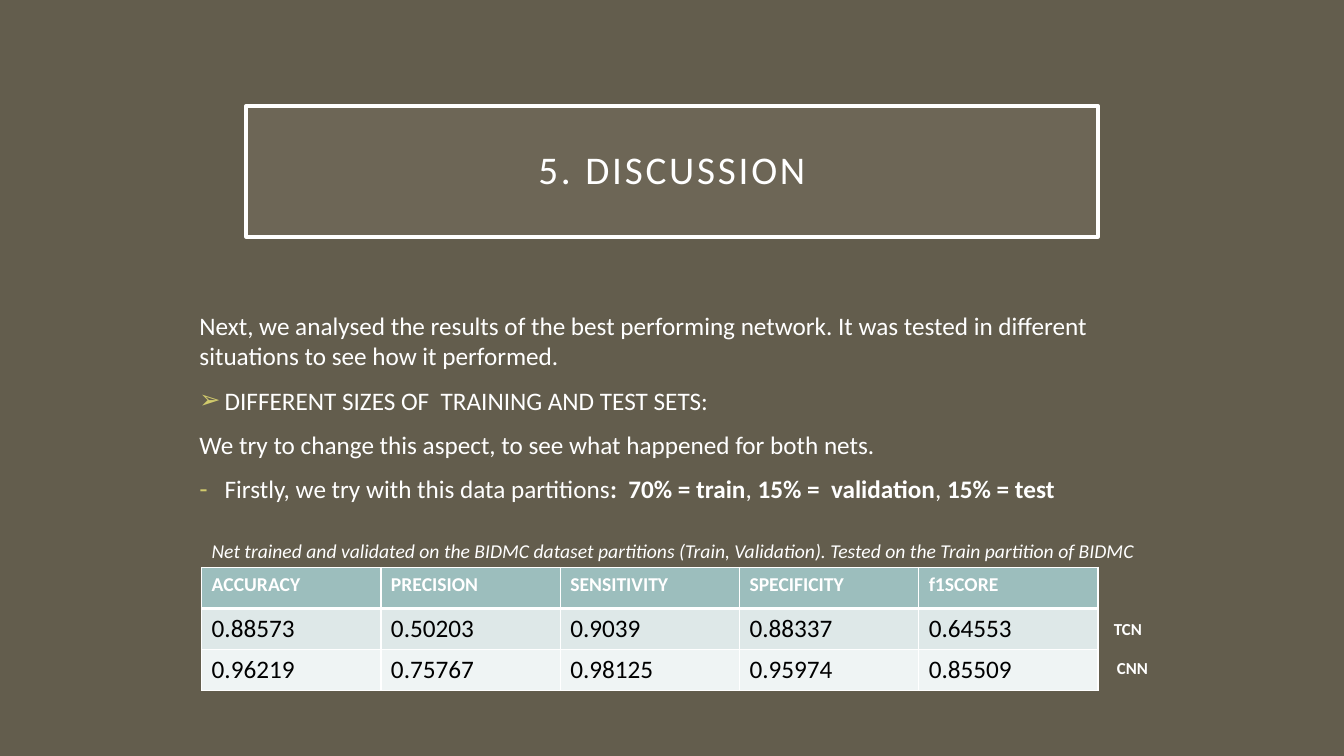
from dataclasses import dataclass

from lxml.etree import SubElement
from pptx import Presentation
from pptx.dml.color import RGBColor
from pptx.enum.shapes import MSO_SHAPE
from pptx.enum.text import MSO_ANCHOR, PP_ALIGN
from pptx.oxml.ns import qn
from pptx.util import Inches, Pt

FONT = "Calibri"
WHITE, BLACK, BACKGROUND = "FFFFFF", "000000", "635D4D"
PANEL, BULLET = "A7A08E", "D2CB6C"
HEADER_FILL, ROW_FILLS = "9CBEBD", ("DEE8E8", "EFF4F4")


@dataclass
class Line:
    """A body paragraph: (text, bold) spans and an optional bullet."""
    spans: list[tuple[str, bool]]
    bullet: str = ""


@dataclass
class Label:
    text: str
    left: float
    top: float
    width: float
    height: float
    size: float = 12
    bold: bool = True
    italic: bool = False


BODY = [
    Line([("Next, we analysed the results of the best performing network. "
           "It was tested in different situations to see how it performed.", False)]),
    Line([("DIFFERENT SIZES OF  TRAINING AND TEST SETS:", False)], "➢"),
    Line([("We try to change this aspect, to see what happened for both nets.", False)]),
    Line([("Firstly, we try with this data partitions", False),
          (":  70% = train", True), (", ", False),
          ("15% =  validation", True), (", ", False),
          ("15% = test", True)], "-"),
]
LABELS = [
    Label("Net trained and validated on the BIDMC dataset partitions (Train, Validation). "
          "Tested on the Train partition of BIDMC", 2, 5.3, 10.32, 0.34, 14, False, True),
    Label("TCN", 10.95, 6.09, 1.19, 0.3),
    Label("CNN", 10.98, 6.48, 2.16, 0.3),
]
SCORES = [
    ["ACCURACY", "PRECISION", "SENSITIVITY", "SPECIFICITY", "f1SCORE"],
    ["0.88573", "0.50203", "0.9039", "0.88337", "0.64553"],
    ["0.96219", "0.75767", "0.98125", "0.95974", "0.85509"],
]


def color(value: str) -> RGBColor:
    return RGBColor.from_string(value)


def add_span(para, text: str, *, size: float = 18, fill: str = WHITE,
             bold: bool = False, italic: bool = False, spacing: float = 0) -> None:
    span = para.add_run()
    span.text = text
    font = span.font
    font.name, font.size, font.bold, font.italic = FONT, Pt(size), bold, italic
    font.color.rgb = color(fill)
    if spacing:
        font._element.set("spc", str(int(spacing * 100)))


def add_bullet(para, symbol: str) -> None:
    properties = para._p.get_or_add_pPr()
    properties.set("marL", str(Inches(0.25)))
    properties.set("indent", str(Inches(-0.25)))
    bullet_color = SubElement(properties, qn("a:buClr"))
    SubElement(bullet_color, qn("a:srgbClr"), val=BULLET)
    SubElement(properties, qn("a:buFont"), typeface="Arial")
    SubElement(properties, qn("a:buChar"), char=symbol)


def add_text_frame(page, left: float, top: float, width: float, height: float):
    box = page.shapes.add_textbox(Inches(left), Inches(top), Inches(width), Inches(height))
    box.text_frame.word_wrap = True
    return box.text_frame


def add_title(page, text: str) -> None:
    box = page.shapes.add_shape(MSO_SHAPE.RECTANGLE, Inches(2.44), Inches(1.05),
                                Inches(8.45), Inches(1.3))
    box.shadow.inherit = False
    box.fill.solid()
    box.fill.fore_color.rgb = color(PANEL)
    fill_color = box._element.spPr.find(qn("a:solidFill")).find(qn("a:srgbClr"))
    SubElement(fill_color, qn("a:alpha"), val="15000")
    box.line.color.rgb = color(WHITE)
    box.line.width = Pt(2.5)
    frame = box.text_frame
    frame.word_wrap = True
    frame.vertical_anchor = MSO_ANCHOR.MIDDLE
    frame.margin_left = frame.margin_right = Inches(0.2)
    frame.margin_top = frame.margin_bottom = Inches(0.2)
    para = frame.paragraphs[0]
    para.alignment = PP_ALIGN.CENTER
    para.line_spacing = 0.9
    add_span(para, text, size=28, spacing=2)


def add_body(page, lines: list[Line]) -> None:
    frame = add_text_frame(page, 1.88, 3.03, 9.45, 3.39)
    for index, line in enumerate(lines):
        para = frame.add_paragraph() if index else frame.paragraphs[0]
        para.space_before = Pt(10)
        if line.bullet:
            add_bullet(para, line.bullet)
        for text, bold in line.spans:
            add_span(para, text, bold=bold)


def add_borders(cell, bottom: float) -> None:
    properties = cell._tc.get_or_add_tcPr()
    widths = {"a:lnL": 1, "a:lnR": 1, "a:lnT": 1, "a:lnB": bottom}
    for position, (side, width) in enumerate(widths.items()):
        border = SubElement(properties, qn(side), w=str(Pt(width)))
        SubElement(SubElement(border, qn("a:solidFill")), qn("a:srgbClr"), val=WHITE)
        properties.insert(position, border)


def add_scores(page, rows: list[list[str]]) -> None:
    frame = page.shapes.add_table(len(rows), len(rows[0]), Inches(2), Inches(5.63),
                                  Inches(8.89), Inches(1.22))
    for row, values in enumerate(rows):
        header = row == 0
        for column, value in enumerate(values):
            cell = frame.table.cell(row, column)
            cell.fill.solid()
            cell.fill.fore_color.rgb = color(HEADER_FILL if header else ROW_FILLS[row - 1])
            add_borders(cell, bottom=3 if header else 1)
            add_span(cell.text_frame.paragraphs[0], value, size=14 if header else 18,
                     fill=WHITE if header else BLACK, bold=header)


def add_label(page, label: Label) -> None:
    frame = add_text_frame(page, label.left, label.top, label.width, label.height)
    add_span(frame.paragraphs[0], label.text, size=label.size,
             bold=label.bold, italic=label.italic)


def main() -> None:
    deck = Presentation()
    deck.slide_width, deck.slide_height = Inches(13.33), Inches(7.5)
    page = deck.slides.add_slide(deck.slide_layouts[6])
    page.background.fill.solid()
    page.background.fill.fore_color.rgb = color(BACKGROUND)

    # Heading and explanation
    add_title(page, "5. DISCUSSION")
    add_body(page, BODY)

    # Results table with its caption and row names
    add_scores(page, SCORES)
    for label in LABELS:
        add_label(page, label)

    deck.save("out.pptx")


if __name__ == "__main__":
    main()
